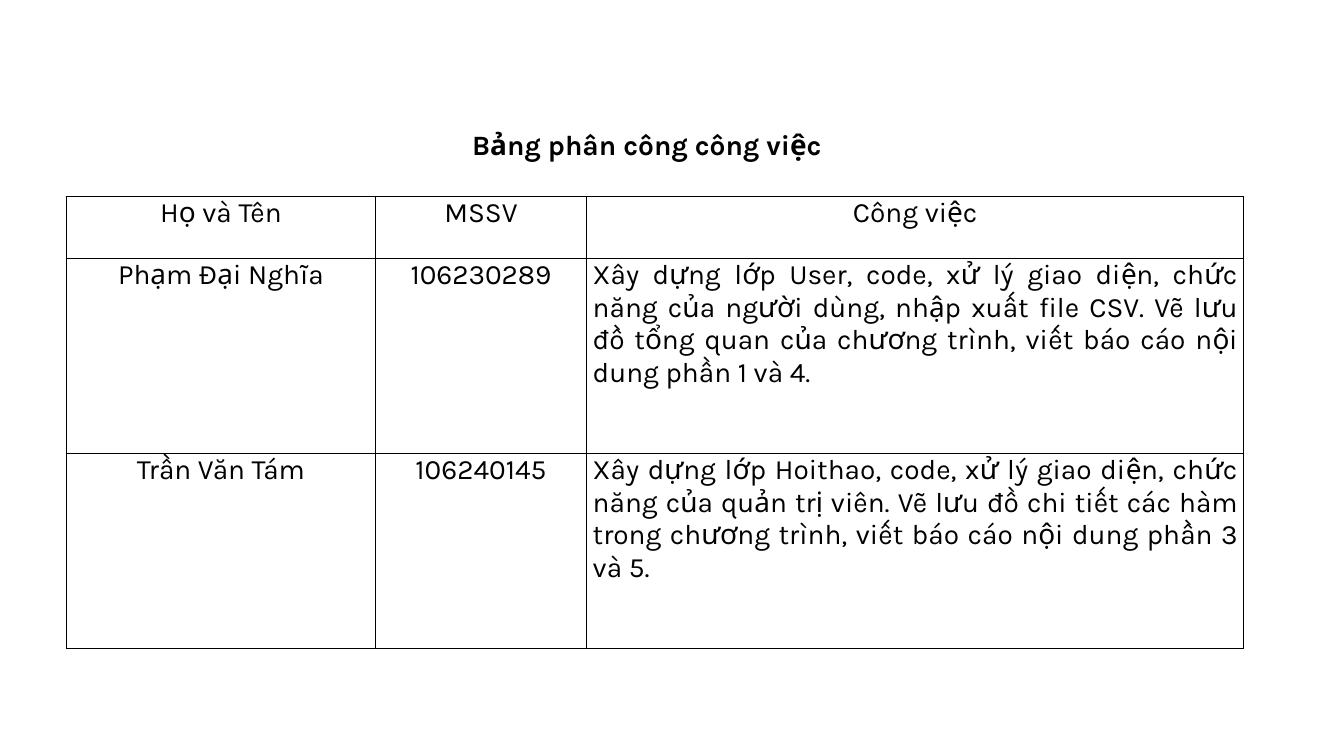
from dataclasses import dataclass

from lxml import etree
from pptx import Presentation
from pptx.dml.color import RGBColor
from pptx.enum.text import MSO_ANCHOR, MSO_AUTO_SIZE, PP_ALIGN
from pptx.oxml.ns import qn
from pptx.slide import Slide
from pptx.table import _Cell
from pptx.text.text import _Paragraph
from pptx.util import Pt

BLACK = RGBColor(0x00, 0x00, 0x00)
WHITE = RGBColor(0xFF, 0xFF, 0xFF)
CENTER, JUSTIFY = PP_ALIGN.CENTER, PP_ALIGN.JUSTIFY
TOP = MSO_ANCHOR.TOP
NO_AUTOFIT = MSO_AUTO_SIZE.NONE

FONT = "Karla"
FONT_SIZE = Pt(24)
BORDER_WIDTH = Pt(1)
CELL_INSET = Pt(5.4)
PARAGRAPH_GAP = Pt(6)
TITLE_ONLY_LAYOUT = 5

COLUMN_WIDTHS = (Pt(265), Pt(180.8), Pt(563.6))
HEADER_HEIGHT, MEMBER_HEIGHT = Pt(53.4), Pt(167.1)


@dataclass(frozen=True)
class Assignment:
    name: str
    student_id: str
    work: str
    work_alignment: PP_ALIGN = JUSTIFY


ASSIGNMENTS = (
    Assignment("Họ và Tên", "MSSV", "Công việc", CENTER),
    Assignment(
        "Phạm Đại Nghĩa",
        "106230289",
        "Xây dựng lớp User, code, xử lý giao diện, chức năng của người dùng, "
        "nhập xuất file CSV. Vẽ lưu đồ tổng quan của chương trình, "
        "viết báo cáo nội dung phần 1 và 4.",
    ),
    Assignment(
        "Trần Văn Tám",
        "106240145",
        "Xây dựng lớp Hoithao, code, xử lý giao diện, chức năng của quản trị viên. "
        "Vẽ lưu đồ chi tiết các hàm trong chương trình, "
        "viết báo cáo nội dung phần 3 và 5.",
    ),
)


def add_span(para: _Paragraph, text: str, alignment: PP_ALIGN, bold: bool = False) -> None:
    para.alignment = alignment
    span = para.add_run()
    span.text = text
    span.font.name = FONT
    span.font.size = FONT_SIZE
    span.font.bold = bold
    span.font.color.rgb = BLACK


def set_borders(cell: _Cell) -> None:
    properties = cell._tc.get_or_add_tcPr()
    # Border lines come before the fill in the cell properties
    for position, side in enumerate(("a:lnL", "a:lnR", "a:lnT", "a:lnB")):
        line = etree.Element(qn(side), w=str(int(BORDER_WIDTH)))
        fill = etree.SubElement(line, qn("a:solidFill"))
        etree.SubElement(fill, qn("a:srgbClr"), val=str(BLACK))
        properties.insert(position, line)


def fill_cell(cell: _Cell, text: str, alignment: PP_ALIGN) -> None:
    cell.margin_left = cell.margin_right = CELL_INSET
    cell.margin_top = cell.margin_bottom = Pt(0)
    cell.vertical_anchor = TOP
    cell.fill.solid()
    cell.fill.fore_color.rgb = WHITE
    set_borders(cell)
    para = cell.text_frame.paragraphs[0]
    para.space_before = para.space_after = PARAGRAPH_GAP
    add_span(para, text, alignment)


def add_title(page: Slide) -> None:
    box = page.shapes.title
    box.left, box.top, box.width, box.height = Pt(262.8), Pt(105.8), Pt(583.2), Pt(36)
    frame = box.text_frame
    frame.auto_size = NO_AUTOFIT
    frame.vertical_anchor = TOP
    add_span(frame.paragraphs[0], "Bảng phân công công việc", CENTER, bold=True)


def add_assignment_table(page: Slide) -> None:
    heights = [HEADER_HEIGHT] + [MEMBER_HEIGHT] * (len(ASSIGNMENTS) - 1)
    table = page.shapes.add_table(
        len(ASSIGNMENTS), len(COLUMN_WIDTHS),
        Pt(56.9), Pt(168.5), sum(COLUMN_WIDTHS), sum(heights),
    ).table
    table.first_row = table.horz_banding = False
    for column, width in zip(table.columns, COLUMN_WIDTHS):
        column.width = width
    for row, height, entry in zip(table.rows, heights, ASSIGNMENTS):
        row.height = height
        name_cell, id_cell, work_cell = row.cells
        fill_cell(name_cell, entry.name, CENTER)
        fill_cell(id_cell, entry.student_id, CENTER)
        fill_cell(work_cell, entry.work, entry.work_alignment)


def main() -> None:
    deck = Presentation()
    deck.slide_width, deck.slide_height = Pt(1152), Pt(648)
    page = deck.slides.add_slide(deck.slide_layouts[TITLE_ONLY_LAYOUT])

    # Work assignment table under its heading
    add_assignment_table(page)
    add_title(page)

    deck.save("out.pptx")


if __name__ == "__main__":
    main()
